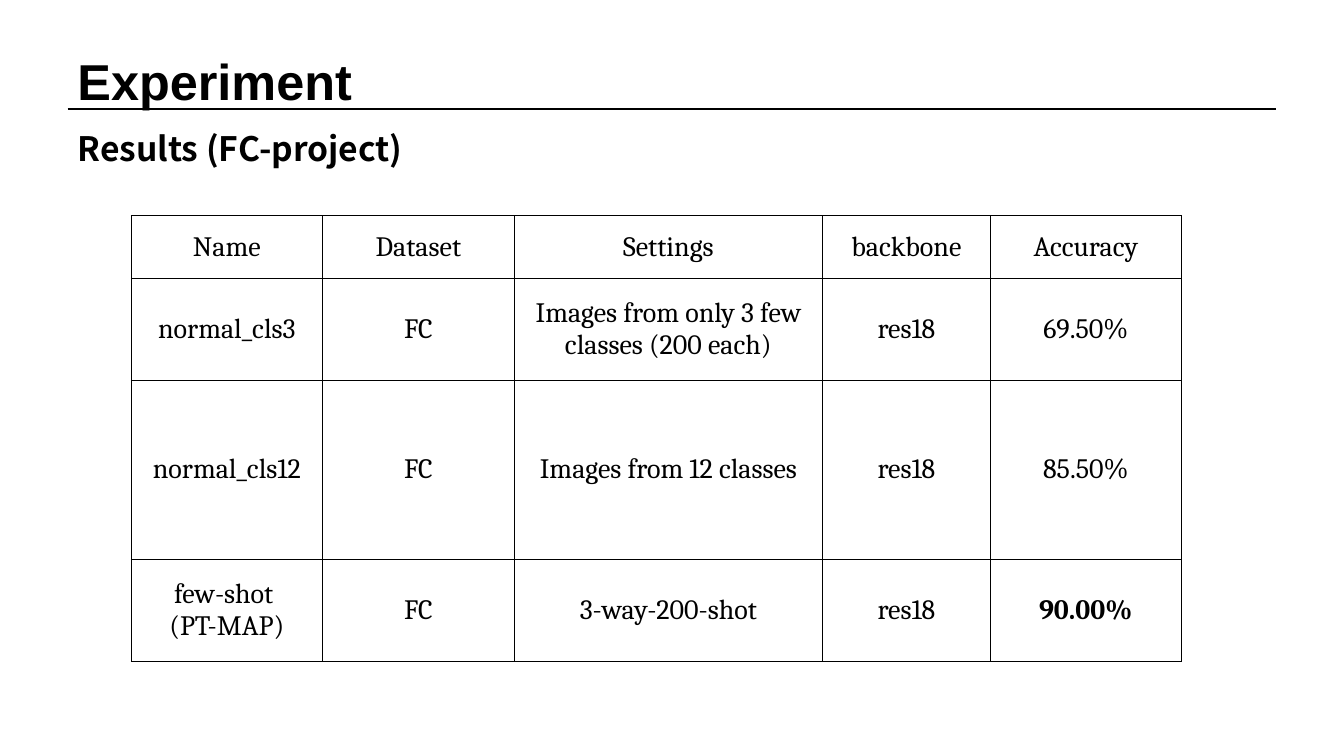
from lxml import etree
from pptx import Presentation
from pptx import util as u
from pptx.dml.color import RGBColor
from pptx.enum import shapes, text
from pptx.oxml.ns import qn

HEADS = [
    ("Experiment", (0.67, 0.44, 3.12, 0.71), 36, "Arial"),
    ("Results (FC-project)", (0.67, 1.22, 12.02, 0.5), 24, "Noto Sans CJK SC"),
]
RULE = (0.67, 1.08, 12.66, 1.08)
ROWS = [
    ("Name", "Dataset", "Settings", "backbone", "Accuracy"),
    ("normal_cls3", "FC", "Images from only 3 few classes (200 each)", "res18", "69.50%"),
    ("normal_cls12", "FC", "Images from 12 classes", "res18", "85.50%"),
    ("few-shot \n(PT-MAP)", "FC", "3-way-200-shot", "res18", "90.00%"),
]
BEST = "90.00%"
LEFT, TOP = 1.3, 2.14
WIDTHS = (1.9, 1.9, 3.06, 1.66, 1.9)
HEIGHTS = (0.62, 1.01, 1.78, 1.01)
COLORS = {"ink": "000000"}
INK = RGBColor.from_string(COLORS["ink"])


def style(para, size, name, bold):
    for run in para.runs:
        font = run.font
        font.size, font.name, font.bold = u.Pt(size), name, bold
        font.color.rgb = INK


def add_head(slide, words, place, size, name):
    frame = slide.shapes.add_textbox(*map(u.Inches, place)).text_frame
    frame.word_wrap = True
    frame.vertical_anchor = text.MSO_ANCHOR.MIDDLE
    frame.text = words
    style(frame.paragraphs[0], size, name, True)


def add_rule(slide):
    rule = slide.shapes.add_connector(
        shapes.MSO_CONNECTOR.STRAIGHT, *map(u.Inches, RULE))
    rule.line.color.rgb = INK
    rule.line.width = u.Pt(1.5)
    etree.SubElement(rule._element.spPr, qn("a:effectLst"))


def add_border(cell):
    props = cell._tc.get_or_add_tcPr()
    for i, side in enumerate(("lnL", "lnR", "lnT", "lnB")):
        line = etree.Element(qn("a:" + side), w=str(u.Pt(0.5)))
        fill = etree.SubElement(line, qn("a:solidFill"))
        etree.SubElement(fill, qn("a:srgbClr"), val=COLORS["ink"])
        props.insert(i, line)


def add_grid(slide):
    place = map(u.Inches, (LEFT, TOP, sum(WIDTHS), sum(HEIGHTS)))
    table = slide.shapes.add_table(len(ROWS), len(WIDTHS), *place).table
    table.first_row = table.horz_banding = False
    for col, width in zip(table.columns, WIDTHS):
        col.width = u.Inches(width)
    for row, height, words in zip(table.rows, HEIGHTS, ROWS):
        row.height = u.Inches(height)
        for cell, word in zip(row.cells, words):
            cell.fill.background()
            cell.vertical_anchor = text.MSO_ANCHOR.MIDDLE
            cell.text_frame.text = word
            for para in cell.text_frame.paragraphs:
                para.alignment = text.PP_ALIGN.CENTER
                style(para, 20, "Cambria", word == BEST)
            add_border(cell)


def main():
    deck = Presentation()
    deck.slide_width, deck.slide_height = u.Inches(13.33), u.Inches(7.5)
    slide = deck.slides.add_slide(deck.slide_layouts[6])
    for head in HEADS:
        add_head(slide, *head)
    add_rule(slide)
    add_grid(slide)
    deck.save("out.pptx")


if __name__ == "__main__":
    main()
